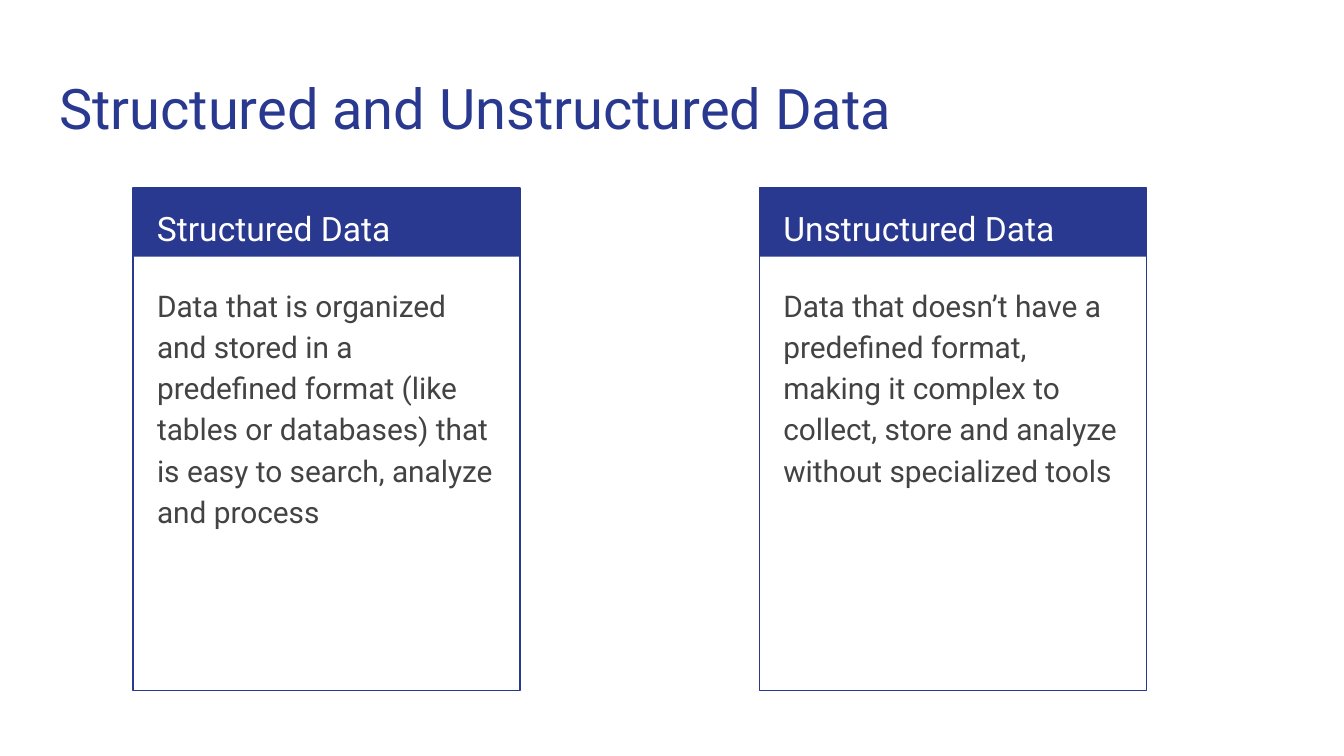
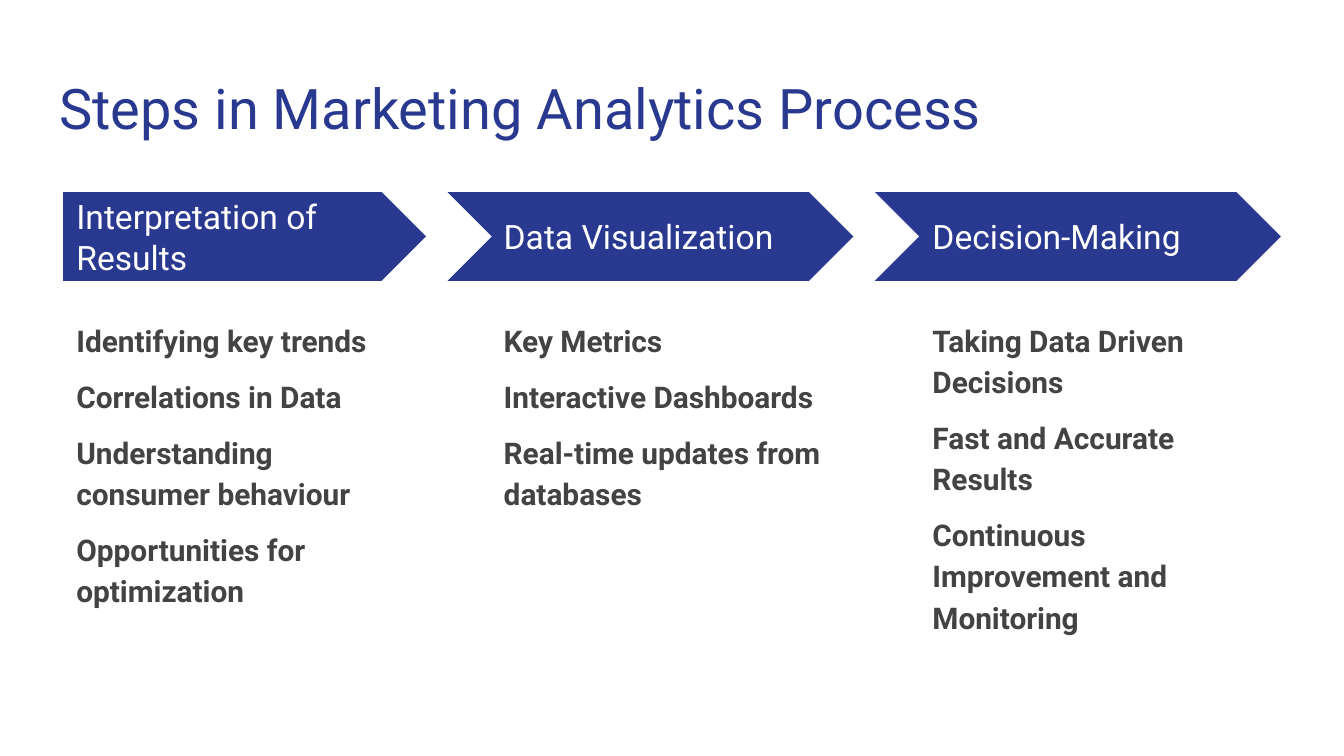
from pptx import Presentation
from pptx.dml.color import RGBColor
from pptx.enum.shapes import MSO_SHAPE
from pptx.enum.text import MSO_ANCHOR, MSO_AUTO_SIZE, PP_ALIGN
from pptx.util import Inches, Pt

RECTANGLE = MSO_SHAPE.RECTANGLE
PENTAGON = MSO_SHAPE.PENTAGON
CHEVRON = MSO_SHAPE.CHEVRON
TOP, MIDDLE = MSO_ANCHOR.TOP, MSO_ANCHOR.MIDDLE
LEFT = PP_ALIGN.LEFT
NO_AUTOFIT = MSO_AUTO_SIZE.NONE

FONT = "Roboto"
COLORS = {"navy": "2A3990", "body": "434343", "white": "FFFFFF"}
TITLE_ONLY = 5
PAGE_WIDTH = 10
PAGE_HEIGHT = PAGE_WIDTH * 9 / 16

PANELS = [
    ("Structured Data",
     "Data that is organized and stored in a predefined format (like tables or "
     "databases) that is easy to search, analyze and process"),
    ("Unstructured Data",
     "Data that doesn’t have a predefined format, making it complex to collect, "
     "store and analyze without specialized tools"),
]
STEPS = [
    ("Interpretation of Results",
     ["Identifying key trends", "Correlations in Data",
      "Understanding consumer behaviour", "Opportunities for optimization"]),
    ("Data Visualization",
     ["Key Metrics", "Interactive Dashboards", "Real-time updates from databases"]),
    ("Decision-Making",
     ["Taking Data Driven Decisions", "Fast and Accurate Results",
      "Continuous Improvement and Monitoring"]),
]


def color(name):
    return RGBColor.from_string(COLORS[name])


def write(box, lines, size, ink, bold=False, spacing=1.0, gap=0, anchor=TOP):
    """Fill a box with one paragraph per line, gap points apart."""
    frame = box.text_frame
    frame.word_wrap = True
    frame.auto_size = NO_AUTOFIT
    frame.vertical_anchor = anchor
    frame.margin_left = frame.margin_right = Inches(0.1)
    frame.margin_top = frame.margin_bottom = Inches(0.1)
    for index, line in enumerate(lines):
        para = frame.add_paragraph() if index else frame.paragraphs[0]
        para.alignment = LEFT
        para.line_spacing = spacing
        para.space_before = Pt(gap if index else 0)
        span = para.add_run()
        span.text = line
        span.font.name = FONT
        span.font.size = Pt(size)
        span.font.bold = bold
        span.font.color.rgb = color(ink)


def add_text(page, left, top, width, height, lines, **style):
    box = page.shapes.add_textbox(
        Inches(left), Inches(top), Inches(width), Inches(height))
    write(box, lines, **style)


def add_block(shapes, kind, left, top, width, height, fill=None, line=None):
    block = shapes.add_shape(
        kind, Inches(left), Inches(top), Inches(width), Inches(height))
    block.shadow.inherit = False
    if fill:
        block.fill.solid()
        block.fill.fore_color.rgb = color(fill)
    else:
        block.fill.background()
    if line:
        block.line.color.rgb = color(line)
        block.line.width = Pt(0.75)
    else:
        block.line.fill.background()


def add_page(deck, heading):
    page = deck.slides.add_slide(deck.slide_layouts[TITLE_ONLY])
    page.background.fill.solid()
    page.background.fill.fore_color.rgb = color("white")
    title = page.shapes.title
    title.left, title.top = Inches(0.34), Inches(0.45)
    title.width, title.height = Inches(9.32), Inches(0.66)
    write(title, [heading], size=30, ink="navy")
    return page


def add_panel(page, left, heading, body):
    """Outlined card with a filled header band."""
    top, width = 1.4, 2.88
    card = page.shapes.add_group_shape()
    add_block(card.shapes, RECTANGLE, left, top, width, 0.51, fill="navy")
    add_block(card.shapes, RECTANGLE, left, top, width, 3.74, line="navy")
    text_left = left + 0.08
    add_text(page, text_left, top, 2.73, 0.5, [heading],
             size=18, ink="white", spacing=1.15)
    add_text(page, text_left, top + 0.6, 2.71, 3.06, [body],
             size=16, ink="body", spacing=1.15)


def add_step(page, left, text_left, heading, points, first):
    """Process arrow with its heading and the points below."""
    kind, width = (PENTAGON, 2.7) if first else (CHEVRON, 3.02)
    add_block(page.shapes, kind, left, 1.43, width, 0.66, fill="navy")
    add_text(page, text_left, 1.59, 2.47, 0.34, [heading],
             size=18, ink="white", anchor=MIDDLE)
    add_text(page, text_left, 2.26, 2.7, 2.9, points,
             size=16, ink="body", bold=True, spacing=1.15, gap=8)


def main():
    deck = Presentation()
    deck.slide_width, deck.slide_height = Inches(PAGE_WIDTH), Inches(PAGE_HEIGHT)

    # Two kinds of data side by side
    page = add_page(deck, "Structured and Unstructured Data")
    for index, (heading, body) in enumerate(PANELS):
        add_panel(page, 0.99 + index * 4.66, heading, body)

    # Process steps from left to right
    page = add_page(deck, "Steps in Marketing Analytics Process")
    places = [(0.47, 0.47), (3.33, 3.65), (6.51, 6.84)]
    for index, (heading, points) in enumerate(STEPS):
        add_step(page, *places[index], heading, points, first=index == 0)

    deck.save("out.pptx")


if __name__ == "__main__":
    main()
